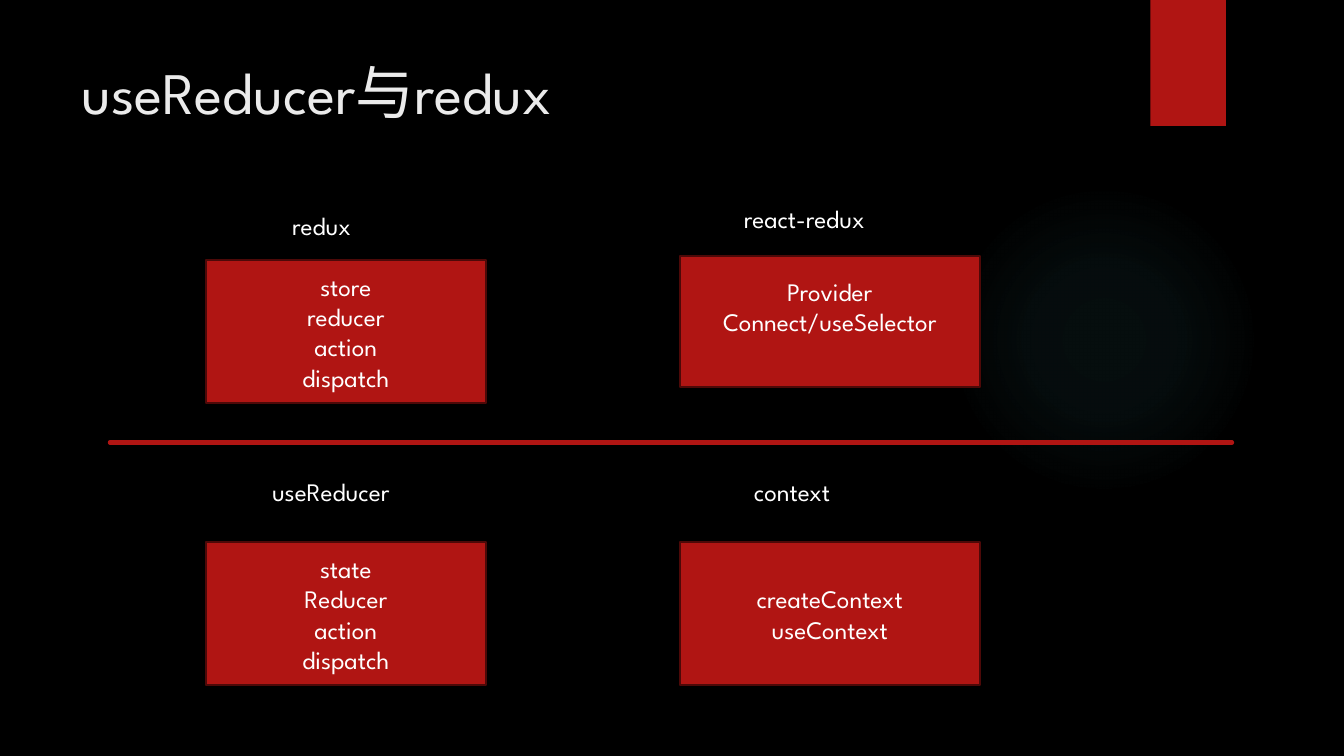
"""Build the slide comparing useReducer with redux."""
from lxml import etree
from pptx import Presentation
from pptx import util as u
from pptx.dml.color import RGBColor
from pptx.enum import shapes, text
from pptx.oxml import parse_xml
from pptx.oxml.ns import nsdecls, qn

TITLE = "useReducer与redux"
LABELS = [
    ("redux", 2.8, 2.04, 0.89),
    ("react-redux", 7.28, 1.97, 1.64),
    ("useReducer", 2.6, 4.68, 1.67),
    ("context", 7.38, 4.68, 1.14),
]
LEFT_COL, RIGHT_COL = (2.04, 2.78), (6.74, 2.98)
BOXES = [
    (["store", "reducer", "action", "dispatch"], LEFT_COL, 2.58, 1.42, 0.05),
    (["Provider", "Connect/useSelector"], RIGHT_COL, 2.54, 1.3, 0.35),
    (["state", "Reducer", "action", "dispatch"], LEFT_COL, 5.38, 1.42, 0.05),
    (["createContext", "useContext"], RIGHT_COL, 5.38, 1.42, 0.05),
]
GLOW_STOPS = [(0, 7), (36, 6), (69, 0)]

FONT = "League Spartan"
BLACK = RGBColor(0x00, 0x00, 0x00)
RED = RGBColor(0xB0, 0x15, 0x13)
DARK_RED = RGBColor(0x4D, 0x09, 0x08)
WHITE = RGBColor(0xFF, 0xFF, 0xFF)
OFF_WHITE = RGBColor(0xEB, 0xEB, 0xEB)
TEAL = RGBColor(0x50, 0xB9, 0xC1)


def write(tf, lines, size=18, color=WHITE, align=text.PP_ALIGN.LEFT):
    tf.word_wrap = True
    for i, line in enumerate(lines):
        p = tf.paragraphs[0] if i == 0 else tf.add_paragraph()
        p.text = line
        p.alignment = align
        p.font.name = FONT
        p.font.size = u.Pt(size)
        p.font.color.rgb = color
        for r in p.runs:
            ea = etree.SubElement(r.font._element, qn("a:ea"))
            ea.set("typeface", FONT)


def add_shape(s, kind, x, y, w, h):
    sp = s.shapes.add_shape(kind, *map(u.Inches, (x, y, w, h)))
    sp.shadow.inherit = False
    sp.fill.solid()
    sp.fill.fore_color.rgb = RED
    sp.line.fill.background()
    return sp


def add_label(s, line, x, y, w, h, **style):
    sp = s.shapes.add_textbox(*map(u.Inches, (x, y, w, h)))
    write(sp.text_frame, [line], **style)


def add_glow(s):
    sp = add_shape(s, shapes.MSO_SHAPE.OVAL, 9.41, 1.83, 3.08, 3.08)
    stops = "".join(
        f'<a:gs pos="{pos * 1000}"><a:srgbClr val="{TEAL}">'
        f'<a:alpha val="{alpha * 1000}"/></a:srgbClr></a:gs>'
        for pos, alpha in GLOW_STOPS)
    grad = parse_xml(
        f'<a:gradFill {nsdecls("a")}><a:gsLst>{stops}</a:gsLst><a:path path="circle">'
        '<a:fillToRect l="50000" t="50000" r="50000" b="50000"/></a:path></a:gradFill>')
    spPr = sp._element.spPr
    spPr.replace(spPr.find(qn("a:solidFill")), grad)


def add_box(s, lines, column, y, h, bottom):
    x, w = column
    sp = add_shape(s, shapes.MSO_SHAPE.RECTANGLE, x, y, w, h)
    sp.line.color.rgb = DARK_RED
    sp.line.width = u.Pt(1.5)
    tf = sp.text_frame
    tf.vertical_anchor = text.MSO_ANCHOR.MIDDLE
    tf.margin_bottom = u.Inches(bottom)
    write(tf, lines, align=text.PP_ALIGN.CENTER)


def add_divider(s):
    line = s.shapes.add_connector(
        shapes.MSO_CONNECTOR.STRAIGHT, *map(u.Inches, (1.09, 4.39, 12.22, 4.39)))
    line.line.color.rgb = RED
    line.line.width = u.Pt(3)
    spPr = line._element.spPr
    spPr.find(qn("a:ln")).set("cap", "rnd")
    etree.SubElement(spPr, qn("a:effectLst"))


def main():
    prs = Presentation()
    prs.slide_width, prs.slide_height = u.Inches(13.33), u.Inches(7.5)
    s = prs.slides.add_slide(prs.slide_layouts[6])
    s.background.fill.solid()
    s.background.fill.fore_color.rgb = BLACK
    add_glow(s)
    add_shape(s, shapes.MSO_SHAPE.RECTANGLE, 11.41, 0, 0.75, 1.25)
    add_label(s, TITLE, 0.71, 0.5, 10.29, 1.53, size=42, color=OFF_WHITE)
    for box in BOXES:
        add_box(s, *box)
    for line, x, y, w in LABELS:
        add_label(s, line, x, y, w, 0.4)
    add_divider(s)
    prs.save("out.pptx")


if __name__ == "__main__":
    main()
